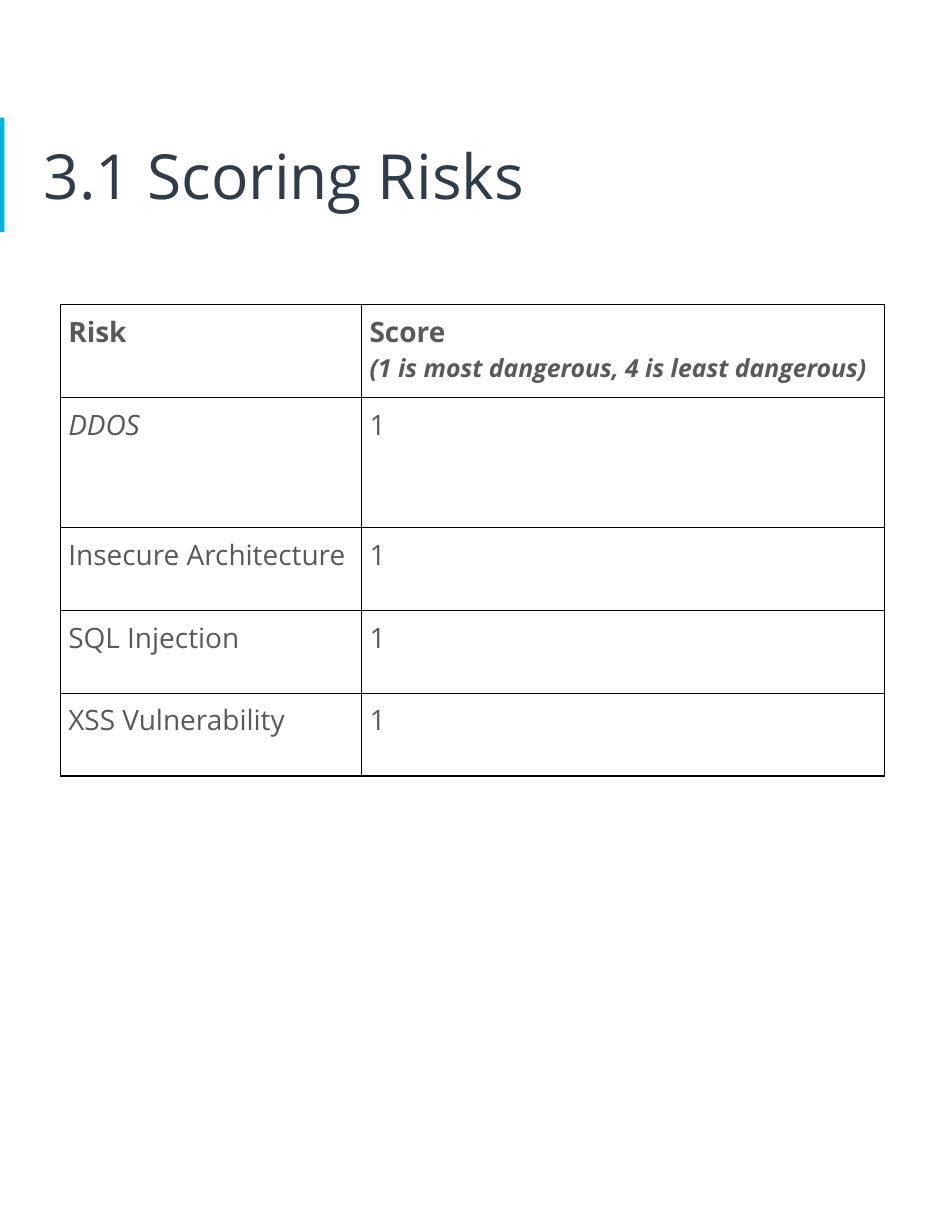
from lxml.etree import SubElement
from pptx import Presentation
from pptx.dml.color import RGBColor
from pptx.enum.shapes import MSO_SHAPE
from pptx.enum.text import MSO_ANCHOR, MSO_AUTO_SIZE, PP_ALIGN
from pptx.oxml.ns import qn
from pptx.util import Inches, Pt

# Content: each cell is a list of (text, format) paragraphs
TITLE = "3.1 Scoring Risks"
PLAIN = {"size": Pt(18), "bold": False, "italic": False}
HEAD = {**PLAIN, "bold": True}
NOTE = {"size": Pt(16), "bold": True, "italic": True}
ITALIC = {**PLAIN, "italic": True}
RISKS = [
    ("DDOS", "1", ITALIC),
    ("Insecure Architecture", "1", PLAIN),
    ("SQL Injection", "1", PLAIN),
    ("XSS Vulnerability", "1", PLAIN),
]
HEADER = [
    [("Risk", HEAD)],
    [("Score", HEAD), ("(1 is most dangerous, 4 is least dangerous)", NOTE)],
]
ROWS = [HEADER] + [[[(risk, look)], [(score, PLAIN)]] for risk, score, look in RISKS]

# Layout and style
COLUMN_WIDTHS = [2.69, 4.67]
ROW_HEIGHTS = [0.83, 1.16, 0.74, 0.74, 0.74]
FONT = "Open Sans"
NAVY = RGBColor(0x2E, 0x3D, 0x49)
GRAY = RGBColor(0x59, 0x59, 0x59)
CYAN = RGBColor(0x02, 0xB4, 0xE5)
BORDER = RGBColor(0, 0, 0)
MARGINS = ("margin_left", "margin_top", "margin_right", "margin_bottom")


def set_all(target, values):
    for name, value in values.items():
        setattr(target, name, value)


def write(paragraph, text, color, look):
    run = paragraph.add_run()
    run.text = text
    set_all(run.font, {"name": FONT, **look})
    run.font.color.rgb = color


def add_borders(cell):
    properties = cell._tc.get_or_add_tcPr()
    for side in ("a:lnL", "a:lnR", "a:lnT", "a:lnB"):
        line = SubElement(properties, qn(side), w=str(Pt(1)))
        fill = SubElement(line, qn("a:solidFill"))
        SubElement(fill, qn("a:srgbClr"), val=str(BORDER))


def fill_cell(cell, paragraphs):
    set_all(cell, dict.fromkeys(MARGINS, Inches(0.07)))
    add_borders(cell)
    cell.fill.background()
    frame = cell.text_frame
    for index, (text, look) in enumerate(paragraphs):
        paragraph = frame.add_paragraph() if index else frame.paragraphs[0]
        write(paragraph, text, GRAY, look)


def main():
    deck = Presentation()
    set_all(deck, {"slide_width": Inches(8.5), "slide_height": Inches(11)})
    slide = deck.slides.add_slide(deck.slide_layouts[5])

    # Accent bar beside the title
    accent = slide.shapes.add_shape(
        MSO_SHAPE.RECTANGLE, 0, Inches(1.05), Inches(0.04), Inches(1.02))
    accent.shadow.inherit = False
    accent.fill.solid()
    accent.fill.fore_color.rgb = CYAN
    accent.line.fill.background()

    # Title
    title = slide.shapes.title
    set_all(title, {"left": Inches(0.29), "top": Inches(0.95),
                    "width": Inches(7.92), "height": Inches(1.22)})
    set_all(title.text_frame, {
        **dict.fromkeys(MARGINS, Inches(0.1)), "word_wrap": True,
        "auto_size": MSO_AUTO_SIZE.NONE, "vertical_anchor": MSO_ANCHOR.MIDDLE})
    heading = title.text_frame.paragraphs[0]
    heading.alignment = PP_ALIGN.LEFT
    write(heading, TITLE, NAVY, {"size": Pt(40)})

    # Risk table
    table = slide.shapes.add_table(
        len(ROWS), len(COLUMN_WIDTHS), Inches(0.54), Inches(2.72),
        Inches(sum(COLUMN_WIDTHS)), Inches(sum(ROW_HEIGHTS))).table
    set_all(table, {"first_row": False, "horz_banding": False})
    for column, width in zip(table.columns, COLUMN_WIDTHS):
        column.width = Inches(width)
    for row, height, contents in zip(table.rows, ROW_HEIGHTS, ROWS):
        row.height = Inches(height)
        for cell, paragraphs in zip(row.cells, contents):
            fill_cell(cell, paragraphs)

    deck.save("out.pptx")


if __name__ == "__main__":
    main()
